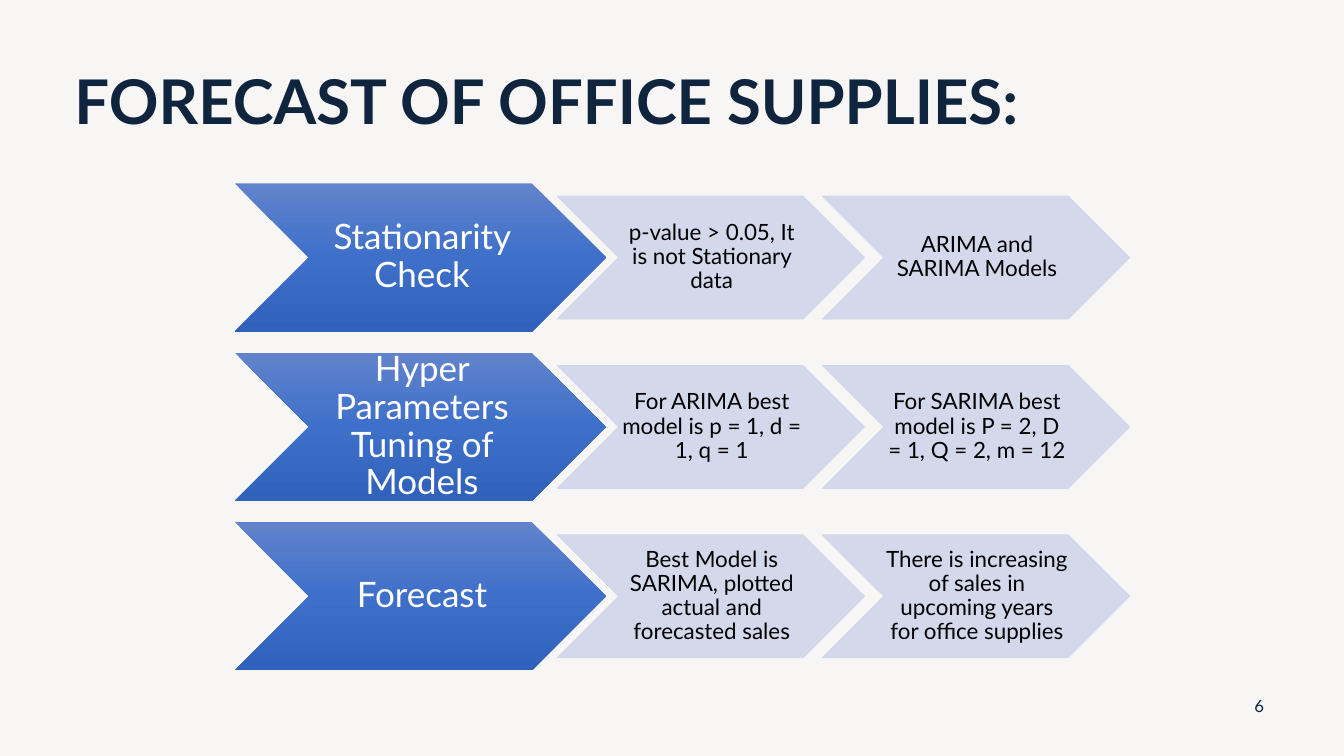
from copy import deepcopy

from lxml.etree import SubElement
from pptx import Presentation
from pptx.dml.color import RGBColor
from pptx.enum.shapes import MSO_SHAPE
from pptx.enum.text import MSO_ANCHOR, PP_ALIGN
from pptx.oxml.ns import qn
from pptx.util import Inches, Pt

STAGES = [
    ("Stationarity Check",
     "p-value > 0.05, It is not Stationary data",
     "ARIMA and SARIMA Models"),
    ("Hyper Parameters Tuning of Models",
     "For ARIMA best model is p = 1, d = 1, q = 1",
     "For SARIMA best model is P = 2, D = 1, Q = 2, m = 12"),
    ("Forecast",
     "Best Model is SARIMA, plotted actual and forecasted sales",
     "There is increasing of sales in upcoming years for office supplies"),
]


def rgb(value):
    return RGBColor.from_string(value)


class Deck:
    """Holds the style and current slide; positions are percentages of the slide."""

    FONT, NAVY, WHITE, BLACK, PALE = "Lato", "0F253E", "FFFFFF", "000000", "CFD5EA"
    PAPER = "F8F6F5"
    BLUES = [(0, "6183CB"), (0.5, "3E70CA"), (1, "3062BB")]

    def __init__(self):
        self.prs = Presentation()
        self.prs.slide_width, self.prs.slide_height = Inches(13.33), Inches(7.5)
        self.s = self.prs.slides.add_slide(self.prs.slide_layouts[6])
        fill = self.s.background.fill
        fill.solid()
        fill.fore_color.rgb = rgb(self.PAPER)

    def box(self, x, y, w, h):
        sw, sh = self.prs.slide_width, self.prs.slide_height
        return [int(share * full / 100)
                for share, full in zip((x, y, w, h), (sw, sh, sw, sh))]

    def label(self, sp, text, size, color, align, bold=False, spacing=0.9, margins=None):
        tf = sp.text_frame
        frame = {"word_wrap": True, "vertical_anchor": MSO_ANCHOR.MIDDLE}
        if margins:
            sides = ("margin_left", "margin_top", "margin_right", "margin_bottom")
            frame.update(zip(sides, map(Pt, margins)))
        p = tf.paragraphs[0]
        r = p.add_run()
        r.text = text
        r.font.color.rgb = rgb(color)
        formats = [
            (tf, frame),
            (p, {"alignment": align, "line_spacing": spacing}),
            (r.font, {"name": self.FONT, "size": Pt(size), "bold": bold}),
        ]
        for target, values in formats:
            for name, value in values.items():
                setattr(target, name, value)

    def text(self, at, text, size, **style):
        sp = self.s.shapes.add_textbox(*self.box(*at))
        self.label(sp, text, size, self.NAVY, **style)

    def chevron(self, at, text, size, color, margins):
        sp = self.s.shapes.add_shape(MSO_SHAPE.CHEVRON, *self.box(*at))
        sp.shadow.inherit = False
        self.label(sp, text, size, color, PP_ALIGN.CENTER, margins=margins)
        return sp

    def stage(self, at, text):
        sp = self.chevron(at, text, 25, self.WHITE, (2.2, 1.4, 0, 1.4))
        sp.line.fill.background()
        sp.fill.gradient()
        sp.fill.gradient_angle = 270
        stops = sp._element.spPr.find(qn("a:gradFill")).find(qn("a:gsLst"))
        stops.insert(1, deepcopy(stops[0]))
        for stop, (position, color) in zip(sp.fill.gradient_stops, self.BLUES):
            stop.position = position
            stop.color.rgb = rgb(color)

    def step(self, at, text):
        sp = self.chevron(at, text, 16, self.BLACK, (1.4, 0.7, 0, 0.7))
        sp.line.width = Pt(0.5)
        for fill in (sp.fill, sp.line.fill):
            fill.solid()
            fill.fore_color.rgb = rgb(self.PALE)
        for color in sp._element.spPr.iter(qn("a:srgbClr")):
            SubElement(color, qn("a:alpha"), val="90000")


def main():
    deck = Deck()
    deck.text((4.8, 5.73, 89.35, 16.27), "FORECAST OF OFFICE SUPPLIES:", 44,
              align=PP_ALIGN.LEFT, bold=True)
    deck.text((91.82, 90.67, 3.75, 5.33), "6", 12, align=PP_ALIGN.CENTER, spacing=1)

    top, row_pitch = 24.27, 22.4
    stage_left, stage_w, stage_h = 17.48, 27.6, 19.6
    step_left, step_pitch, step_w, step_h = 41.45, 19.73, 22.88, 16.27
    for row, (stage, *steps) in enumerate(STAGES):
        y = top + row * row_pitch
        deck.stage((stage_left, y, stage_w, stage_h), stage)
        for col, step in enumerate(steps):
            x = step_left + col * step_pitch
            deck.step((x, y + (stage_h - step_h) / 2, step_w, step_h), step)
    deck.prs.save("out.pptx")


if __name__ == "__main__":
    main()
